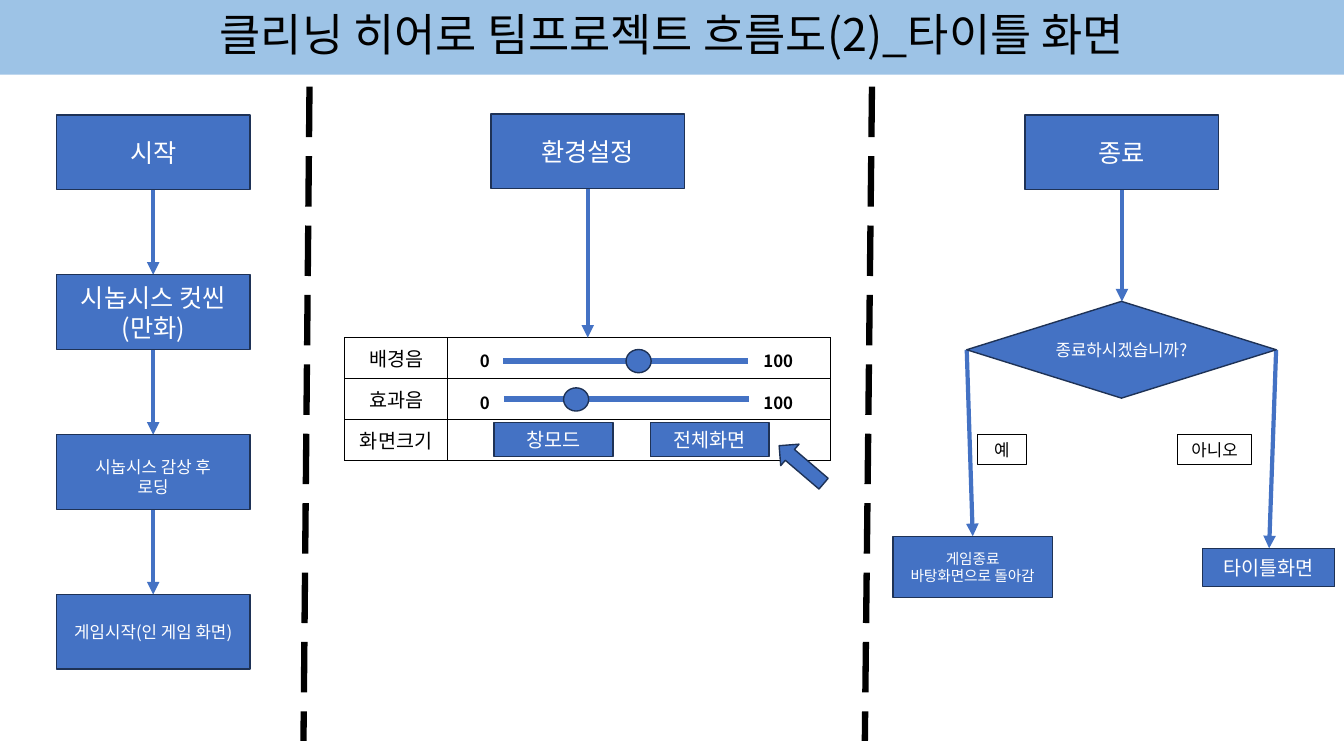
"""Build the title-screen flow chart slide, laid out in percent of the slide."""
import lxml.etree
import pptx
import pptx.dml.color
import pptx.enum.dml
import pptx.enum.shapes
import pptx.enum.text
import pptx.oxml.ns
import pptx.util


class Theme:
    font = "Noto Sans CJK KR"
    band, blue, edge, black, white = "9DC3E6", "4472C4", "1E3256", "000000", "FFFFFF"
    title, head, item, body, note = 32, 18, 14, 12, 10.5
    thin, rim, flow, bold = 0.75, 1, 3, 4.5


Pt = pptx.util.Pt
rgb = pptx.dml.color.RGBColor.from_string
qn = pptx.oxml.ns.qn
Kind = pptx.enum.shapes.MSO_SHAPE
Dash = pptx.enum.dml.MSO_LINE
Fit = pptx.enum.text.MSO_AUTO_SIZE
Mid = pptx.enum.text.MSO_ANCHOR.MIDDLE
Top = pptx.enum.text.MSO_ANCHOR.TOP

deck = pptx.Presentation()
deck.slide_width = pptx.util.Inches(13.33)
deck.slide_height = pptx.util.Inches(7.5)
slide = deck.slides.add_slide(deck.slide_layouts[5])
shapes = slide.shapes
col, row = deck.slide_width / 100, deck.slide_height / 100


def write(frame, text, size, ink, bold=False):
    for i, line in enumerate(text.split("\n")):
        para = frame.add_paragraph() if i else frame.paragraphs[0]
        para.alignment = pptx.enum.text.PP_ALIGN.CENTER
        run = para.add_run()
        run.text = line
        run.font.size = Pt(size)
        run.font.bold = bold
        run.font.color.rgb = rgb(ink)
        run.font.name = Theme.font
        east = lxml.etree.SubElement(run._r.get_or_add_rPr(), qn("a:ea"))
        east.set("typeface", Theme.font)


def link(x1, y1, x2, y2, ink=Theme.blue, width=Theme.flow, head=True):
    line = shapes.add_connector(
        pptx.enum.shapes.MSO_CONNECTOR.STRAIGHT,
        round(x1 * col), round(y1 * row), round(x2 * col), round(y2 * row))
    line.line.color.rgb = rgb(ink)
    line.line.width = Pt(width)
    if head:
        tail = lxml.etree.SubElement(line.line._get_or_add_ln(), qn("a:tailEnd"))
        tail.set("type", "triangle")
    lxml.etree.SubElement(line._element.spPr, qn("a:effectLst"))
    return line


title = shapes.title
title.left, title.top = 0, 0
title.width, title.height = deck.slide_width, round(9.87 * row)
title.fill.solid()
title.fill.fore_color.rgb = rgb(Theme.band)
title.text_frame.word_wrap = True
title.text_frame.auto_size = Fit.NONE
title.text_frame.vertical_anchor = Mid
write(title.text_frame, "클리닝 히어로 팀프로젝트 흐름도(2)_타이틀 화면", Theme.title, Theme.black)
title.text_frame.paragraphs[0].line_spacing = 0.9

names = ["배경음", "효과음", "화면크기"]
wide = [7.65, 28.5]
high = 5.42
grid = shapes.add_table(
    len(names), len(wide), round(25.65 * col), round(44.67 * row),
    round(sum(wide) * col), round(high * len(names) * row)).table
grid.first_row = grid.horz_banding = False
for part, size in zip(grid.columns, wide):
    part.width = round(size * col)
for part, name in zip(grid.rows, names):
    part.height = round(high * row)
    write(part.cells[0].text_frame, name, Theme.item, Theme.black)
    for cell in part.cells:
        cell.vertical_anchor = Mid
        cell.fill.background()
        props = cell._tc.get_or_add_tcPr()
        for i, side in enumerate(["a:lnL", "a:lnR", "a:lnT", "a:lnB"]):
            rule = lxml.etree.Element(qn(side), w=str(Pt(Theme.rim)))
            fill = lxml.etree.SubElement(rule, qn("a:solidFill"))
            lxml.etree.SubElement(fill, qn("a:srgbClr"), val=Theme.black)
            props.insert(i, rule)

wide, high = 14.4, 9.87
left, first, step = 4.2, 15.2, 21.15
steps = [
    ("시작", Theme.head, 1),
    ("시놉시스 컷씬\n(만화)", Theme.head, 1),
    ("시놉시스 감상 후\n로딩", Theme.body, 1.5),
    ("게임시작(인 게임 화면)", Theme.body, 1),
]
box = Kind.FLOWCHART_PROCESS
nodes = [(box, left, first + step * i, wide, high, *item) for i, item in enumerate(steps)]
nodes += [
    (box, 36.53, 15.07, wide, high, "환경설정", Theme.head, 1),
    (box, 76.28, first, wide, high, "종료", Theme.head, 1),
    (Kind.FLOWCHART_DECISION, 71.93, 39.87, 23.03, 12.8, "종료하시겠습니까?", Theme.body, 1),
    (box, 66.45, 70.93, 11.85, 8.13, "게임종료\n바탕화면으로 돌아감", Theme.note, 1),
    (box, 89.48, 72.53, 9.83, 5.07, "타이틀화면", Theme.item, 1),
    (box, 36.75, 55.87, 8.85, 4.53, "창모드", Theme.item, 1),
    (box, 48.38, 55.87, 8.85, 4.53, "전체화면", Theme.item, 1),
]

for i in range(len(steps) - 1):
    y = first + step * i
    link(left + wide / 2, y + high, left + wide / 2, y + step)
link(43.73, 24.94, 43.73, 44.67)
link(83.48, 25.07, 83.48, 39.87)
link(71.93, 46.27, 72.38, 70.93)
link(94.95, 46.27, 94.43, 72.53)
for x1, x2 in [(23.03, 22.58), (64.88, 64.35)]:
    wall = link(x1, 11.47, x2, 98, Theme.black, Theme.bold, False)
    wall.line.dash_style = Dash.LONG_DASH

labels = [
    (72.75, 57.47, 3.6, "예", True),
    (87.6, 57.47, 5.55, "아니오", True),
]
for x, y, knob, top in [(37.43, 47.73, 46.58, 45.73), (37.5, 52.8, 41.93, 51.33)]:
    link(x, y, x + 18.22, y, width=Theme.bold, head=False)
    nodes.append((Kind.OVAL, knob, y - 1.5, 1.87, 3.07, "", Theme.body, 1))
    labels += [(34.8, top, 2.55, "0", False), (55.88, top, 4.05, "100", False)]
nodes.append((Kind.RIGHT_ARROW, 57.45, 59.6, 4.35, 3.73, "", Theme.body, 1))

for kind, x, y, w, h, text, size, lead in nodes:
    node = shapes.add_shape(kind, round(x * col), round(y * row), round(w * col), round(h * row))
    node.shadow.inherit = False
    node.fill.solid()
    node.fill.fore_color.rgb = rgb(Theme.blue)
    node.line.color.rgb = rgb(Theme.edge)
    node.line.width = Pt(Theme.rim)
    if kind == Kind.RIGHT_ARROW:
        node.rotation = 220.5
    if text:
        node.text_frame.word_wrap = True
        node.text_frame.vertical_anchor = Mid
        write(node.text_frame, text, size, Theme.white)
        node.text_frame.paragraphs[0].line_spacing = lead

for x, y, w, text, framed in labels:
    label = shapes.add_textbox(round(x * col), round(y * row), round(w * col), round(4 * row))
    if framed:
        label.line.color.rgb = rgb(Theme.black)
        label.line.width = Pt(Theme.thin)
    label.text_frame.word_wrap = framed
    label.text_frame.auto_size = Fit.SHAPE_TO_FIT_TEXT
    label.text_frame.vertical_anchor = Top
    write(label.text_frame, text, Theme.body, Theme.black, not framed)

deck.save("out.pptx")
